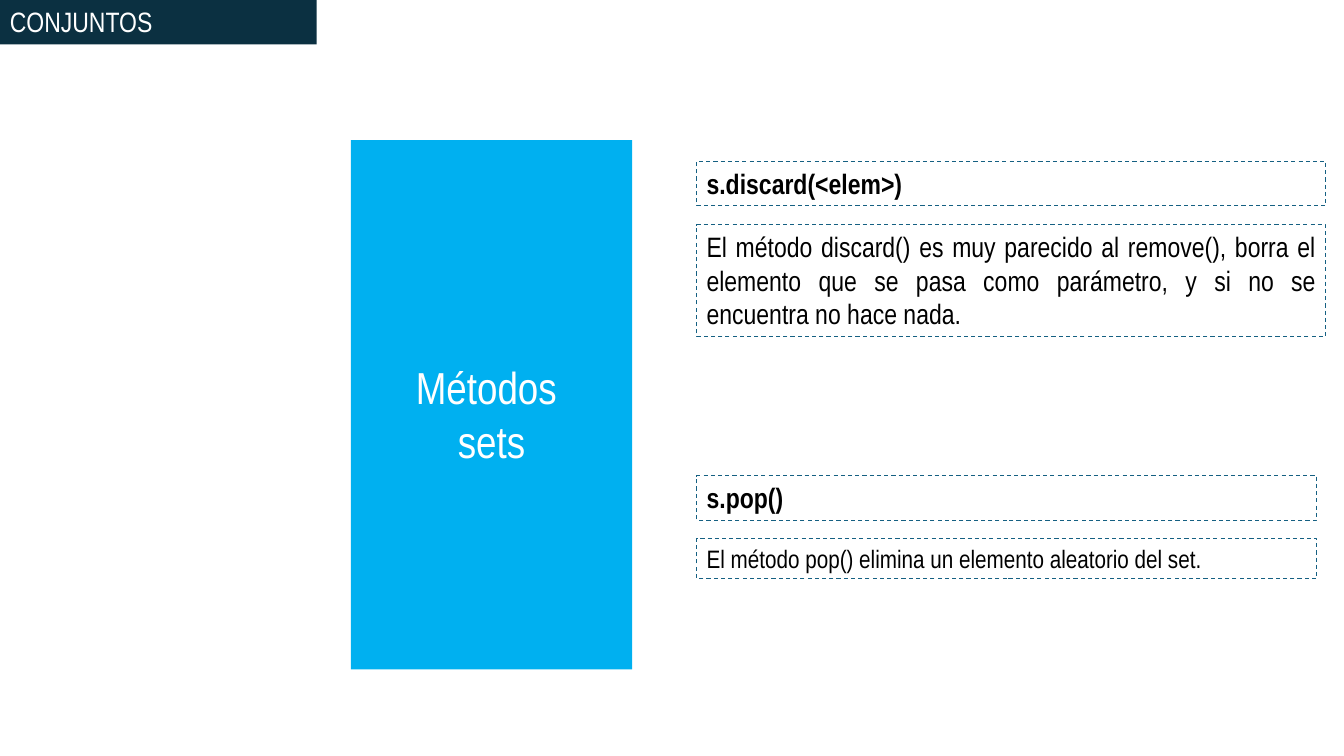
from pptx import Presentation
from pptx.dml.color import RGBColor
from pptx.enum.dml import MSO_LINE
from pptx.enum.shapes import MSO_SHAPE
from pptx.enum.text import MSO_ANCHOR, PP_ALIGN
from pptx.util import Inches, Pt

COLORS = {"navy": "0B3041", "sky": "00B0F0", "teal": "156082",
          "white": "FFFFFF", "black": "000000"}
METHOD_LEFT = 6.91
METHODS = [
    {"top": 1.6, "width": 6.24, "gap": 0.19, "height": 1.11, "size": 20,
     "align": PP_ALIGN.JUSTIFY, "name": "s.discard(<elem>)",
     "text": "El método discard() es muy parecido al remove(), borra el elemento "
             "que se pasa como parámetro, y si no se encuentra no hace nada."},
    {"top": 4.72, "width": 6.15, "gap": 0.18, "height": 0.4, "size": 18,
     "align": PP_ALIGN.LEFT, "name": "s.pop()",
     "text": "El método pop() elimina un elemento aleatorio del set."},
]


def rgb(name):
    return RGBColor.from_string(COLORS[name])


def add_box(slide, box, lines, size, color="black", fill=None, bold=False,
            align=PP_ALIGN.LEFT, inset_top=0.05):
    """Add a text rectangle: filled without outline, or dashed without fill."""
    sp = slide.shapes.add_shape(MSO_SHAPE.RECTANGLE, *(Inches(v) for v in box))
    sp.shadow.inherit = False
    if fill:
        sp.fill.solid()
        sp.fill.fore_color.rgb = rgb(fill)
        sp.line.fill.background()
    else:
        sp.fill.background()
        sp.line.color.rgb = rgb("teal")
        sp.line.width = Pt(0.75)
        sp.line.dash_style = MSO_LINE.DASH
    tf = sp.text_frame
    frame_format = {"word_wrap": True, "vertical_anchor": MSO_ANCHOR.TOP,
                    "margin_top": Inches(inset_top)}
    for name, value in frame_format.items():
        setattr(tf, name, value)
    for i, line in enumerate(lines):
        p = tf.add_paragraph() if i else tf.paragraphs[0]
        p.alignment = align
        r = p.add_run()
        r.text = line
        font_format = {"name": "Arial Narrow", "size": Pt(size), "bold": bold}
        for name, value in font_format.items():
            setattr(r.font, name, value)
        r.font.color.rgb = rgb(color)


def add_header(slide, box):
    add_box(slide, box, ["CONJUNTOS"], 20, "white", "navy")


def add_topic_panel(slide, box):
    add_box(slide, box, ["Métodos ", "sets"], 32, "white", "sky",
            align=PP_ALIGN.CENTER, inset_top=box[3] * 0.415)


def add_method(slide, box, method):
    """Place the method name in the given box and its description below."""
    left, top, width, height = box
    add_box(slide, box, [method["name"]], 20, bold=True)
    text_box = (left, top + height + method["gap"], width, method["height"])
    add_box(slide, text_box, [method["text"]], method["size"],
            align=method["align"])


def main():
    prs = Presentation()
    prs.slide_width, prs.slide_height = Inches(13.33), Inches(7.5)
    slide = prs.slides.add_slide(prs.slide_layouts[6])
    add_header(slide, (0, 0, 3.14, 0.44))
    add_topic_panel(slide, (3.48, 1.39, 2.79, 5.25))
    for method in METHODS:
        box = (METHOD_LEFT, method["top"], method["width"], 0.44)
        add_method(slide, box, method)
    prs.save("out.pptx")


if __name__ == "__main__":
    main()
